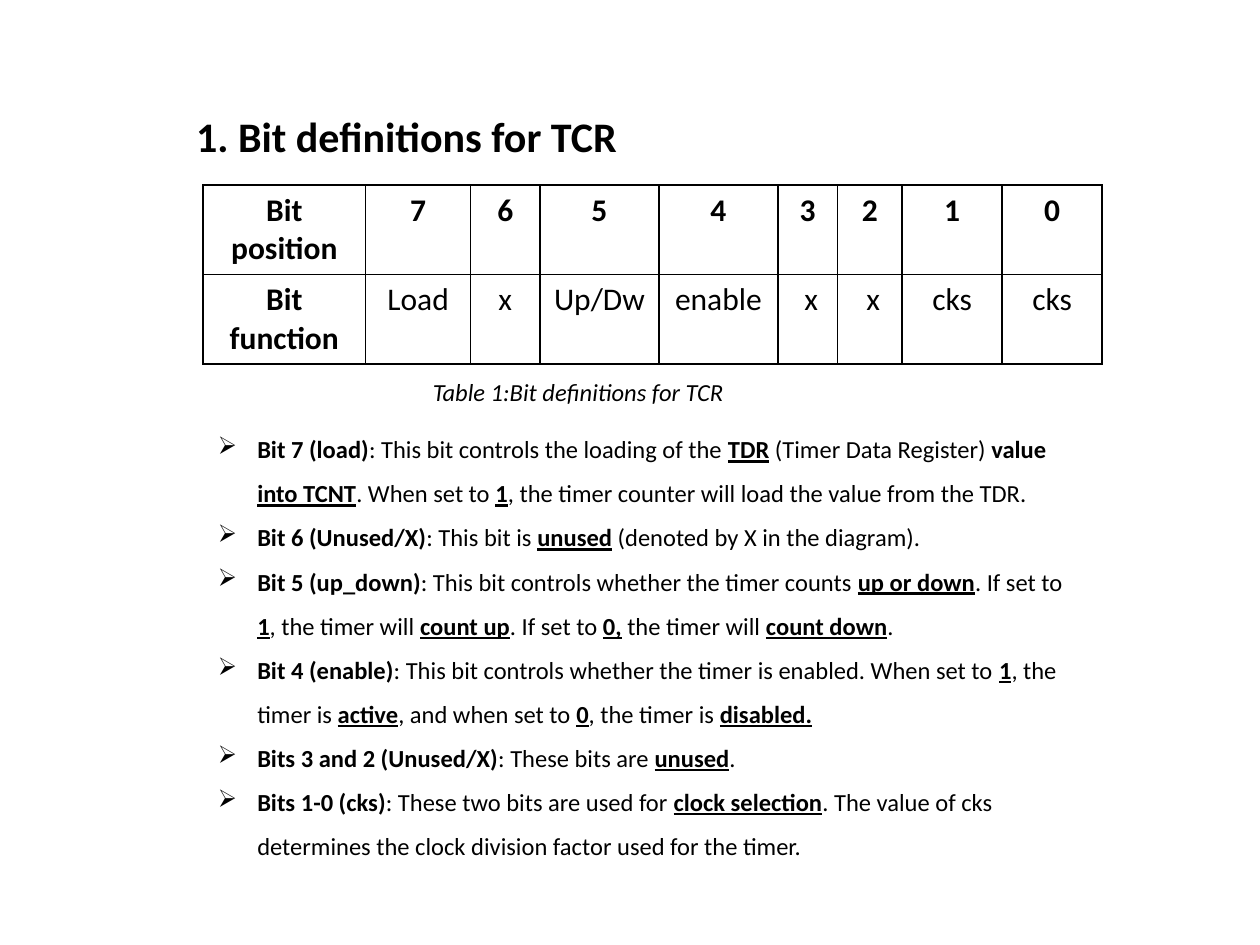
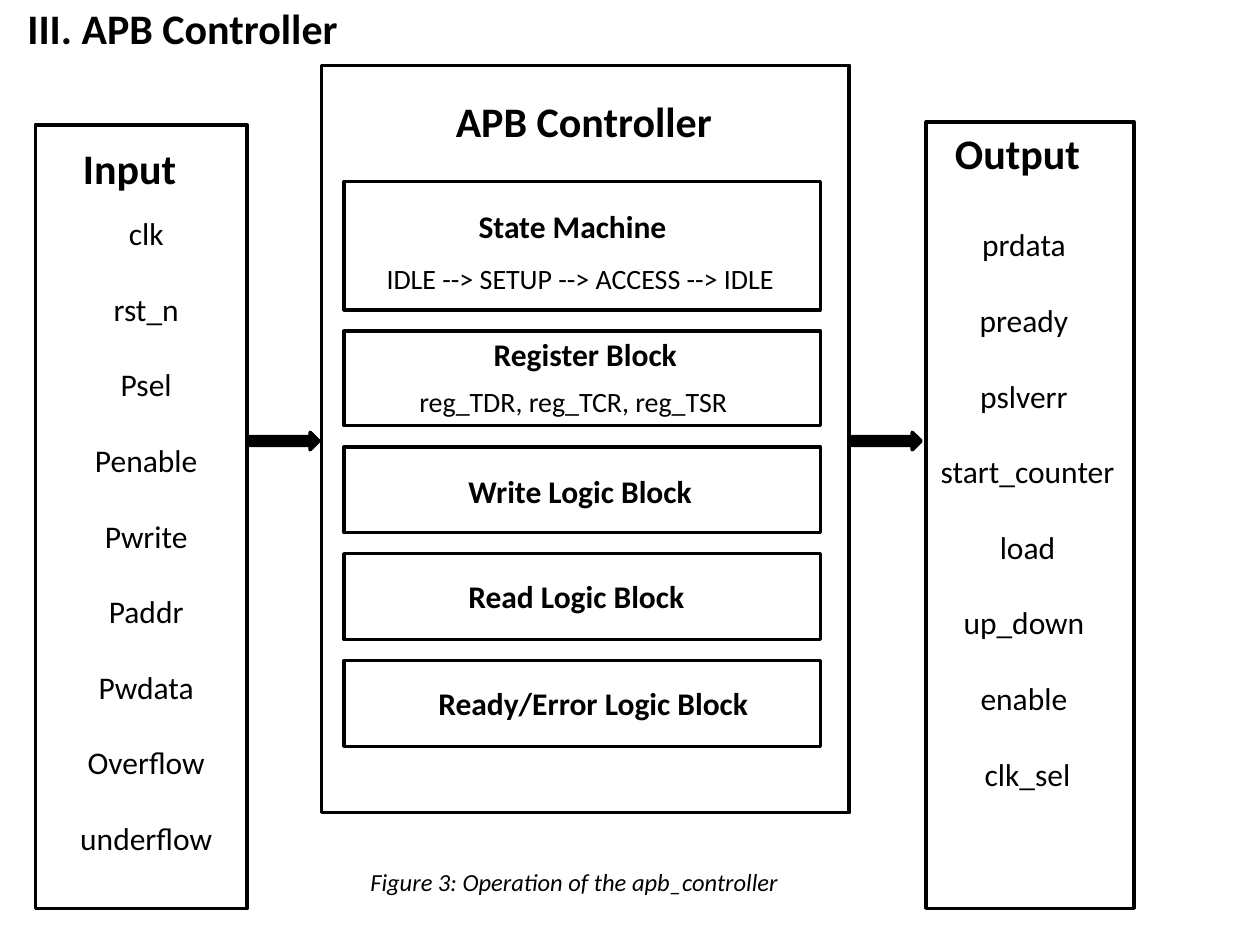
from lxml import etree
from pptx import Presentation
from pptx.dml.color import RGBColor
from pptx.enum import shapes, text
from pptx.oxml import ns
from pptx.util import Pt

COLORS = {"ink": "000000"}
FONT = "Calibri"
INK = RGBColor.from_string(COLORS["ink"])
HEADING = {"size": Pt(24), "bold": True}
BLOCK_NAME = {"size": Pt(18), "bold": True}
CAPTION = {"size": Pt(14), "italic": True}
RUN_MARKS = {"*": {"bold": True}, "_": {"bold": True, "underline": True}}


def write(frame, lines, style, align=None):
    """Fill a text frame; "|" parts runs, a leading * is bold, _ bold underlined."""
    for number, line in enumerate(lines):
        paragraph = frame.paragraphs[0] if number == 0 else frame.add_paragraph()
        paragraph.alignment = align
        for part in line.split("|"):
            mark = RUN_MARKS.get(part[0], {})
            run = paragraph.add_run()
            run.text = part[1:] if mark else part
            run.font.name = FONT
            run.font.color.rgb = INK
            for name, value in {**style, **mark}.items():
                setattr(run.font, name, value)


def add_label(slide, box, lines, style, wrap=False, align=None):
    frame = slide.shapes.add_textbox(*map(Pt, box)).text_frame
    frame.word_wrap = wrap
    frame.auto_size = text.MSO_AUTO_SIZE.SHAPE_TO_FIT_TEXT
    write(frame, lines, style, align)
    return frame


prs = Presentation()
prs.slide_width, prs.slide_height = Pt(720), Pt(540)
blank = prs.slide_layouts[6]

# Slide 1: bit definitions
bits = prs.slides.add_slide(blank)
add_label(bits, (105, 59.8, 257.8, 36), ["1. Bit definitions for TCR"], HEADING)

# Register table
bit_rows = [
    ["Bit position", "7", "6", "5", "4", "3", "2", "1", "0"],
    ["Bit function", "Load", "x", "Up/Dw", "enable", " x", " x", "cks", "cks"],
]
column_widths = [93, 60, 39.6, 68, 68, 34, 37, 57.2, 57.2]
register = bits.shapes.add_table(2, 9, Pt(116), Pt(105.6), Pt(sum(column_widths)), Pt(102.4)).table
register.first_row = register.horz_banding = False
for column, width in zip(register.columns, column_widths):
    column.width = Pt(width)
for row, names in enumerate(bit_rows):
    for col, name in enumerate(names):
        cell = register.cell(row, col)
        write(cell.text_frame, [name], {"size": Pt(18), "bold": row == 0 or col == 0},
              text.PP_ALIGN.CENTER)
        properties = cell._tc.get_or_add_tcPr()
        for side in ("a:lnL", "a:lnR", "a:lnT", "a:lnB"):
            border = etree.SubElement(properties, ns.qn(side), w=str(Pt(1)))
            fill = etree.SubElement(border, ns.qn("a:solidFill"))
            etree.SubElement(fill, ns.qn("a:srgbClr"), val=COLORS["ink"])
        cell.fill.background()

# Bit descriptions
descriptions = [
    "*Bit 7 (load)|: This bit controls the loading of the |_TDR| (Timer Data Register) |*value |"
    "_into TCNT|. When set to |_1|, the timer counter will load the value from the TDR.",
    "*Bit 6 (Unused/X)|: This bit is |_unused| (denoted by X in the diagram).",
    "*Bit 5 (up_down)|: This bit controls whether the timer counts |_up or down|. If set to |_1|"
    ", the timer will |_count up|. If set to |_0,| the timer will |_count down|.",
    "*Bit 4 (enable)|: This bit controls whether the timer is enabled. When set to |_1|"
    ", the timer is |_active|, and when set to |_0|, the timer is |_disabled.",
    "*Bits 3 and 2 (Unused/X)|: These bits are |_unused|.",
    "*Bits 1-0 (cks)|: These two bits are used for |_clock selection|"
    ". The value of cks determines the clock division factor used for the timer.",
]
details = add_label(bits, (117.4, 236.2, 510.5, 283.7), descriptions, {"size": Pt(14)}, wrap=True)
for paragraph in details.paragraphs:
    paragraph.line_spacing = 1.5
    properties = paragraph._p.get_or_add_pPr()
    properties.set("marL", str(Pt(22.5)))
    properties.set("indent", str(Pt(-22.5)))
    etree.SubElement(properties, ns.qn("a:buChar"), char="➢")

table_caption = add_label(bits, (218.2, 211.7, 438.5, 41), ["Table 1:Bit definitions for TCR"],
                          CAPTION, wrap=True)
table_caption.paragraphs[0]._p.get_or_add_pPr().set("marL", str(Pt(22)))

# Slide 2: controller diagram
diagram = prs.slides.add_slide(blank)

# Frames, inner blocks and arrows
rect, arrow = shapes.MSO_SHAPE.RECTANGLE, shapes.MSO_SHAPE.RIGHT_ARROW
outlines = [
    (rect, (183.6, 37.4, 301.7, 427)),
    (rect, (20.2, 71.3, 121, 447.8)),
    (rect, (529.2, 69.8, 118.8, 449.3)),
    (arrow, (142.6, 247, 39.6, 10)),
    (arrow, (486.7, 247, 39.6, 10)),
]
block_top, block_gap = 103.7, 12.1
for height in (73.4, 54, 49, 49, 49):
    outlines.append((rect, (196.6, block_top, 272.2, height)))
    block_top += height + block_gap
for kind, box in outlines:
    outline = diagram.shapes.add_shape(kind, *map(Pt, box))
    outline.shadow.inherit = False
    outline.line.color.rgb = INK
    outline.line.width = Pt(2)
    if kind == arrow:
        outline.fill.solid()
        outline.fill.fore_color.rgb = INK
    else:
        outline.fill.background()

# Headings and block names
diagram_labels = [
    ("APB Controller", (253.4, 51.1, 167.8, 36), HEADING),
    ("Input", (40.3, 77.8, 68.4, 36), HEADING),
    ("Output", (538.6, 69.1, 111.6, 36), HEADING),
    ("III. APB Controller", (8.6, -2.2, 213.8, 65.5), HEADING),
    ("State Machine", (266.4, 114.5, 126.7, 29), BLOCK_NAME),
    ("Register Block", (275, 188, 123.8, 29), BLOCK_NAME),
    ("Write Logic Block", (260.6, 266.4, 143.3, 29), BLOCK_NAME),
    ("Read Logic Block", (260.6, 326.2, 139, 29), BLOCK_NAME),
    ("Ready/Error Logic Block", (243.4, 387.4, 193, 29), BLOCK_NAME),
    ("IDLE --> SETUP --> ACCESS --> IDLE", (213.8, 146.2, 243.4, 26.6), {"size": Pt(16)}),
    ("reg_TDR, reg_TCR, reg_TSR", (232.6, 216, 208.8, 26.6), {"size": Pt(16)}),
    ("Figure 3: Operation of the apb_controller", (204.5, 491.8, 251.3, 24.5), CAPTION),
]
for words, box, style in diagram_labels:
    add_label(diagram, box, [words], style, wrap=words in ("Output", "III. APB Controller") or
              style["size"] == Pt(16))

# Signal lists
inputs = ["clk", "rst_n", "Psel", "Penable", "Pwrite", "Paddr", "Pwdata", "Overflow", "underflow"]
outputs = ["prdata ", "pready ", "pslverr ", "start_counter", " load ", "up_down ", "enable ",
           "clk_sel"]
for signals, box in ((inputs, (38.2, 118.8, 90.7, 399.6)), (outputs, (529.2, 125.3, 115.9, 334))):
    signal_list = add_label(diagram, box, signals, {"size": Pt(18)}, wrap=signals is outputs,
                            align=text.PP_ALIGN.CENTER)
    for paragraph in signal_list.paragraphs[1:]:
        paragraph.space_before = Pt(21.6)

prs.save("out.pptx")
